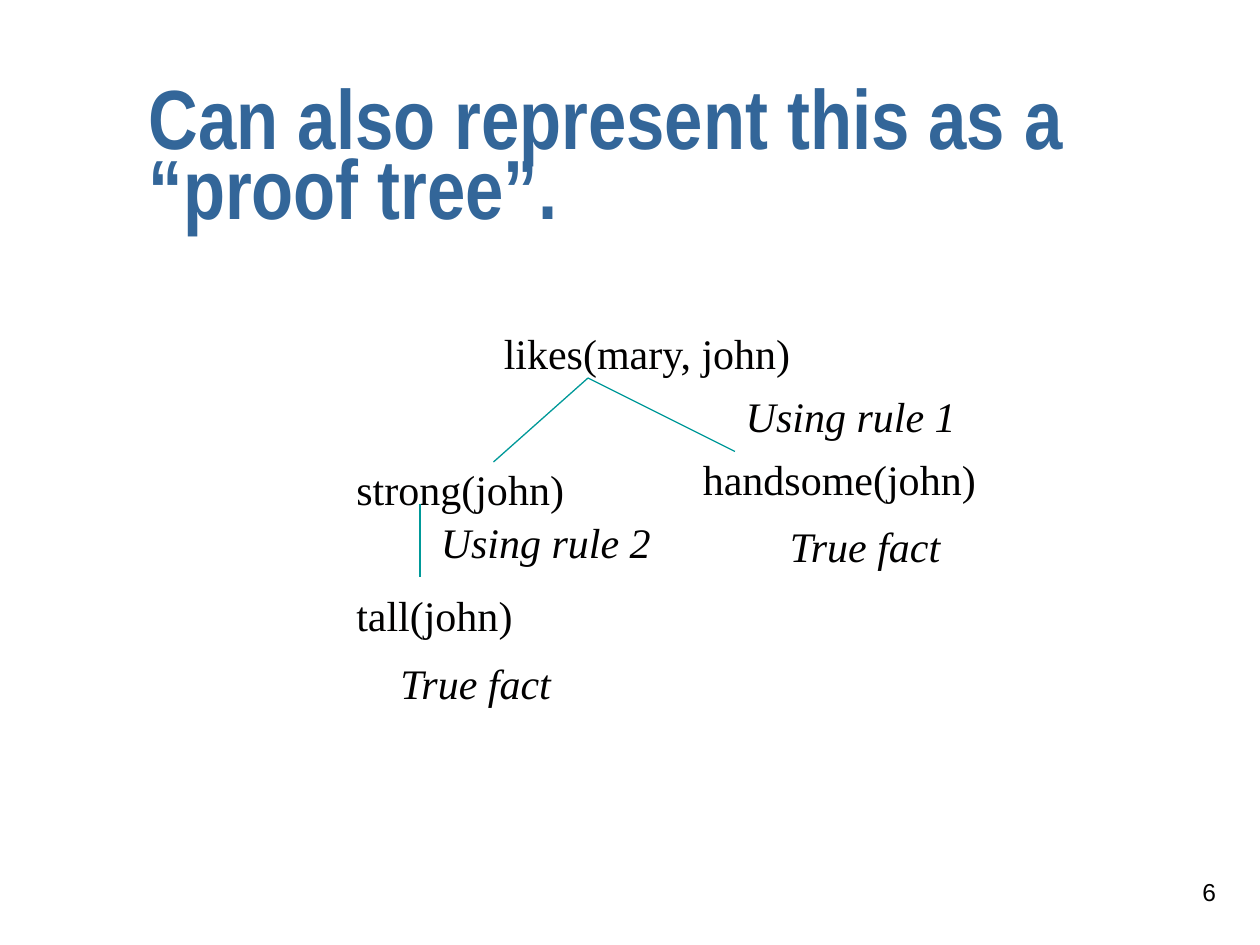
from lxml import etree
from pptx import Presentation
from pptx.dml.color import RGBColor
from pptx.enum import shapes, text
from pptx.oxml.ns import qn
from pptx.util import Inches, Pt

BLUE = RGBColor(0x33, 0x66, 0x99)
TEAL = RGBColor(0x00, 0x99, 0x99)
INK = RGBColor(0x01, 0x00, 0x00)

TITLE = dict(name="Arial Narrow", size=Pt(48), bold=True)
NODE = dict(name="Times New Roman", size=Pt(24))
NOTE = dict(NODE, italic=True)
NUMBER = dict(name="Arial", size=Pt(14))

ROW = 0.5  # height of a one-line label
GRID = 12  # branch grid steps per inch

# Text, left, top, width (with a little room so each stays on one line)
FACTS = [
    ("likes(mary, john)", 3.9, 2.55, 2.52),
    ("strong(john)", 2.73, 3.63, 1.88),
    ("handsome(john)", 5.48, 3.55, 2.4),
    ("tall(john)", 2.73, 4.63, 1.47),
]
REASONS = [
    ("Using rule 1", 5.82, 3.05, 1.9),
    ("Using rule 2", 3.4, 4.05, 1.9),
    ("True fact", 3.08, 5.17, 1.44),
    ("True fact", 6.17, 4.08, 1.44),
]
# Start and end of each branch, in grid steps
ROOT = (56, 36)
BRANCHES = [
    (ROOT, (47, 44)),
    (ROOT, (70, 43)),
    ((40, 48), (40, 55)),
]


def style(para, form, color):
    for key, value in form.items():
        setattr(para.font, key, value)
    para.font.color.rgb = color


def add_title(slide, words):
    title = slide.shapes.title
    title.left, title.top = Inches(1.08), Inches(0.67)
    title.width, title.height = Inches(8.67), Inches(1.25)
    frame = title.text_frame
    frame.text = words
    frame.auto_size = text.MSO_AUTO_SIZE.NONE
    frame.vertical_anchor = text.MSO_ANCHOR.MIDDLE
    para = frame.paragraphs[0]
    para.alignment = text.PP_ALIGN.LEFT
    para.line_spacing = 0.7
    style(para, TITLE, BLUE)


def add_label(slide, words, left, top, width, form):
    box = slide.shapes.add_textbox(
        Inches(left), Inches(top), Inches(width), Inches(ROW))
    frame = box.text_frame
    frame.text = words
    frame.word_wrap = False
    frame.auto_size = text.MSO_AUTO_SIZE.SHAPE_TO_FIT_TEXT
    para = frame.paragraphs[0]
    para.alignment = text.PP_ALIGN.LEFT
    style(para, form, INK)
    return frame


def add_branch(slide, start, end):
    ends = [Inches(step / GRID) for step in start + end]
    line = slide.shapes.add_connector(shapes.MSO_CONNECTOR.STRAIGHT, *ends)
    line.line.color.rgb = TEAL
    line.line.width = Pt(0.75)
    etree.SubElement(line._element.spPr, qn("a:effectLst"))


def add_number(slide, words):
    frame = add_label(slide, words, 7.67, 6.83, 2.08, NUMBER)
    frame.word_wrap = True
    frame.auto_size = text.MSO_AUTO_SIZE.NONE
    frame.vertical_anchor = text.MSO_ANCHOR.MIDDLE
    frame.paragraphs[0].alignment = text.PP_ALIGN.RIGHT


def main():
    deck = Presentation()
    deck.slide_width, deck.slide_height = Inches(10), Inches(7.5)
    slide = deck.slides.add_slide(deck.slide_layouts[5])
    add_title(slide, "Can also represent this as a “proof tree”.")

    # Proof tree: facts, branches, then reasons
    for fact in FACTS:
        add_label(slide, *fact, NODE)
    for branch in BRANCHES:
        add_branch(slide, *branch)
    for reason in REASONS:
        add_label(slide, *reason, NOTE)

    # Page number
    add_number(slide, "6")
    deck.save("out.pptx")


if __name__ == "__main__":
    main()
